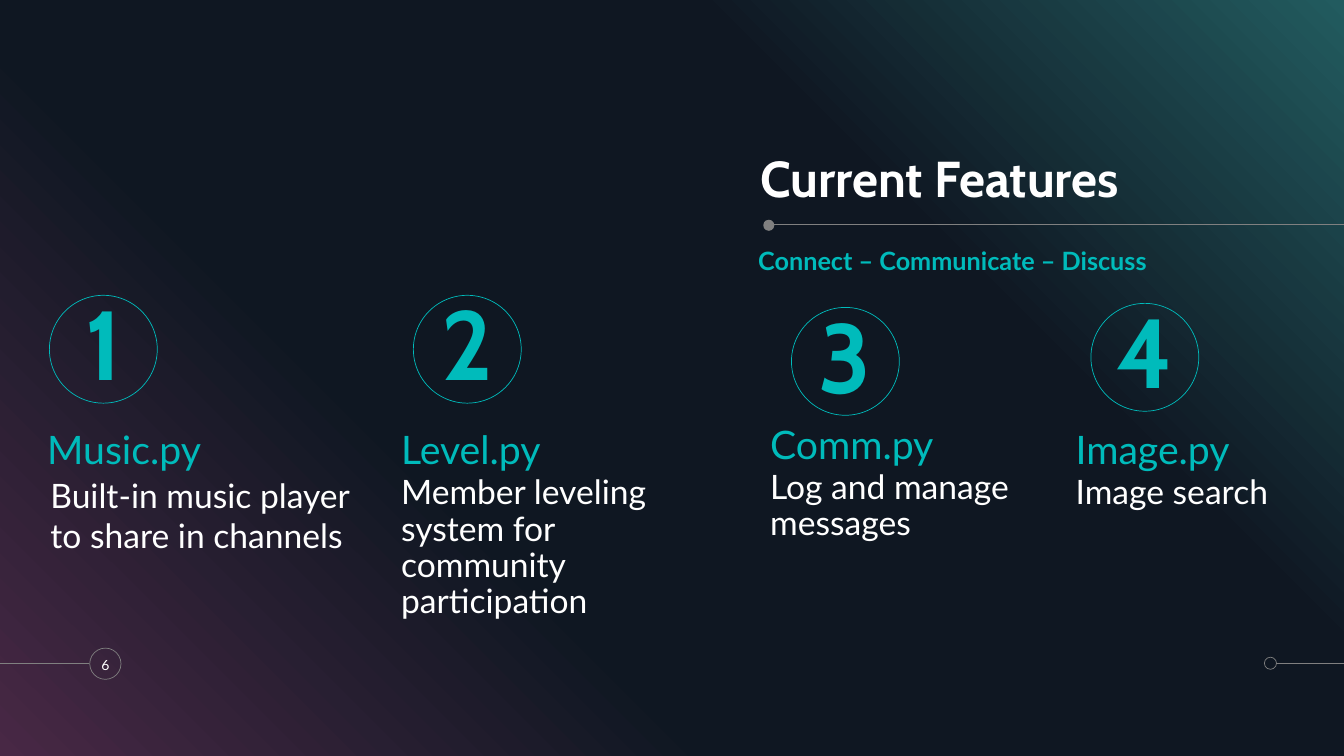
from copy import deepcopy

from lxml import etree
from pptx import Presentation
from pptx.dml.color import RGBColor
from pptx.enum.shapes import MSO_CONNECTOR as Connector, MSO_SHAPE as Shape
from pptx.enum.text import MSO_ANCHOR as Anchor, PP_ALIGN as Align
from pptx.oxml.ns import qn
from pptx.util import Inches, Pt

TEAL = RGBColor(0x00, 0xBB, 0xBB)
WHITE = RGBColor(0xFF, 0xFF, 0xFF)
GRAY = RGBColor(0x80, 0x80, 0x80)
BLACK = RGBColor(0x00, 0x00, 0x00)
PLUM = RGBColor(0x48, 0x28, 0x45)
NIGHT = RGBColor(0x0F, 0x17, 0x22)
DEEP_TEAL = RGBColor(0x22, 0x5B, 0x5F)

WIDTH, HEIGHT = 13.33, 7.5
CIRCLE = 1.07
FOOTER_Y = 6.58

# Text formats
TITLE = {"name": "Cabin", "size": Pt(36), "bold": True}
TAGLINE = {"name": "Lato", "size": Pt(18), "bold": True}
NUMERAL = {"name": "Cabin", "size": Pt(70), "bold": True}
MODULE = {"name": "Lato", "size": Pt(28)}
DETAIL = {"name": "Lato", "size": Pt(24)}
PAGE = {"name": "Lato", "size": Pt(10)}
TIGHT = {"line_spacing": 0.9, "space_before": Pt(10)}
NO_INSETS = dict.fromkeys(
    ("margin_left", "margin_top", "margin_right", "margin_bottom"), 0)

# Number, circle place, module, its place, description, its place, width, style
FEATURES = [
    ("1", (0.49, 2.93), "Music.py", (0.37, 4.22),
     "Built-in music player to share in channels", (0.5, 4.71), 3.22,
     {"space_before": Pt(6)}, NO_INSETS),
    ("2", (4.1, 2.93), "Level.py", (3.88, 4.22),
     "Member leveling system for community participation", (3.88, 4.67), 3.4,
     TIGHT, {}),
    ("3", (7.85, 3.05), "Comm.py", (7.54, 4.17),
     "Log and manage messages", (7.54, 4.62), 3.22, TIGHT, {}),
    ("4", (10.82, 3.01), "Image.py", (10.57, 4.22),
     "Image search", (10.57, 4.67), 3.22, TIGHT, {}),
]


def apply(target, values):
    for key, value in values.items():
        setattr(target, key, value)


def write(frame, text, font, color, paragraph_format, frame_format):
    apply(frame, {"word_wrap": True, **frame_format})
    paragraph = frame.paragraphs[0]
    apply(paragraph, paragraph_format)
    run = paragraph.add_run()
    run.text = text
    apply(run.font, font)
    run.font.color.rgb = color


def add_text(slide, box, text, font, color, paragraph_format, frame_format):
    label = slide.shapes.add_textbox(*map(Inches, box))
    write(label.text_frame, text, font, color, paragraph_format, frame_format)


def add_circle(slide, left, top, size, line=None, fill=None):
    circle = slide.shapes.add_shape(
        Shape.OVAL, *map(Inches, (left, top, size, size)))
    circle.shadow.inherit = False
    if fill is None:
        circle.fill.background()
    else:
        circle.fill.solid()
        circle.fill.fore_color.rgb = fill
    if line is None:
        circle.line.fill.background()
    else:
        circle.line.color.rgb = line
        circle.line.width = Pt(0.5)
    return circle


def add_rule(slide, start, end, y):
    rule = slide.shapes.add_connector(
        Connector.STRAIGHT, *map(Inches, (start, y, end, y)))
    rule.line.color.rgb = GRAY
    rule.line.width = Pt(0.5)
    etree.SubElement(rule._element.spPr, qn("a:effectLst"))


def add_backdrop(slide):
    slide.background.fill.solid()
    slide.background.fill.fore_color.rgb = BLACK
    backdrop = slide.shapes.add_shape(
        Shape.RECTANGLE, 0, 0, Inches(WIDTH), Inches(HEIGHT))
    backdrop.shadow.inherit = False
    backdrop.line.fill.background()
    backdrop.fill.gradient()
    backdrop.fill.gradient_angle = 45
    # Two more stops make the four-colour blend
    stops = next(backdrop._element.spPr.iter(qn("a:gsLst")))
    for stop in list(stops):
        stops.append(deepcopy(stop))
    blend = [(0, PLUM), (0.34, NIGHT), (0.69, NIGHT), (1, DEEP_TEAL)]
    for stop, (position, color) in zip(backdrop.fill.gradient_stops, blend):
        stop.position = position
        stop.color.rgb = color


def add_feature(slide, number, circle_at, module, module_at,
                detail, detail_at, detail_width, detail_format, detail_frame):
    circle = add_circle(slide, *circle_at, CIRCLE, line=TEAL)
    write(circle.text_frame, number, NUMERAL, TEAL,
          {"alignment": Align.CENTER, **TIGHT},
          {"vertical_anchor": Anchor.MIDDLE, **NO_INSETS})
    add_text(slide, (*module_at, 3.22, 0.36), module, MODULE, TEAL, TIGHT, {})
    add_text(slide, (*detail_at, detail_width, 1.55), detail, DETAIL, WHITE,
             detail_format, detail_frame)


def main():
    deck = Presentation()
    deck.slide_width, deck.slide_height = Inches(WIDTH), Inches(HEIGHT)
    slide = deck.slides.add_slide(deck.slide_layouts[6])
    add_backdrop(slide)

    # Heading
    add_rule(slide, WIDTH, 7.66, 2.23)
    add_circle(slide, 7.57, 2.18, 0.11, fill=GRAY)
    add_text(slide, (7.54, 1.19, 4.91, 0.88), "Current Features", TITLE, WHITE,
             {"line_spacing": 0.9},
             {"vertical_anchor": Anchor.BOTTOM, **NO_INSETS})
    add_text(slide, (7.52, 2.43, 6.88, 0.62), "Connect – Communicate – Discuss",
             TAGLINE, TEAL, {"space_before": Pt(10)}, NO_INSETS)

    # Footer
    add_rule(slide, 12.66, WIDTH, FOOTER_Y)
    add_circle(slide, 12.54, 6.52, 0.12, line=GRAY)
    add_rule(slide, 0, 0.88, FOOTER_Y)
    add_circle(slide, 0.89, 6.43, 0.31, line=GRAY)
    add_text(slide, (0.85, 6.43, 0.39, 0.33), "6", PAGE, WHITE,
             {"alignment": Align.CENTER}, {"vertical_anchor": Anchor.MIDDLE})

    # Features
    for feature in FEATURES:
        add_feature(slide, *feature)

    deck.save("out.pptx")


if __name__ == "__main__":
    main()
